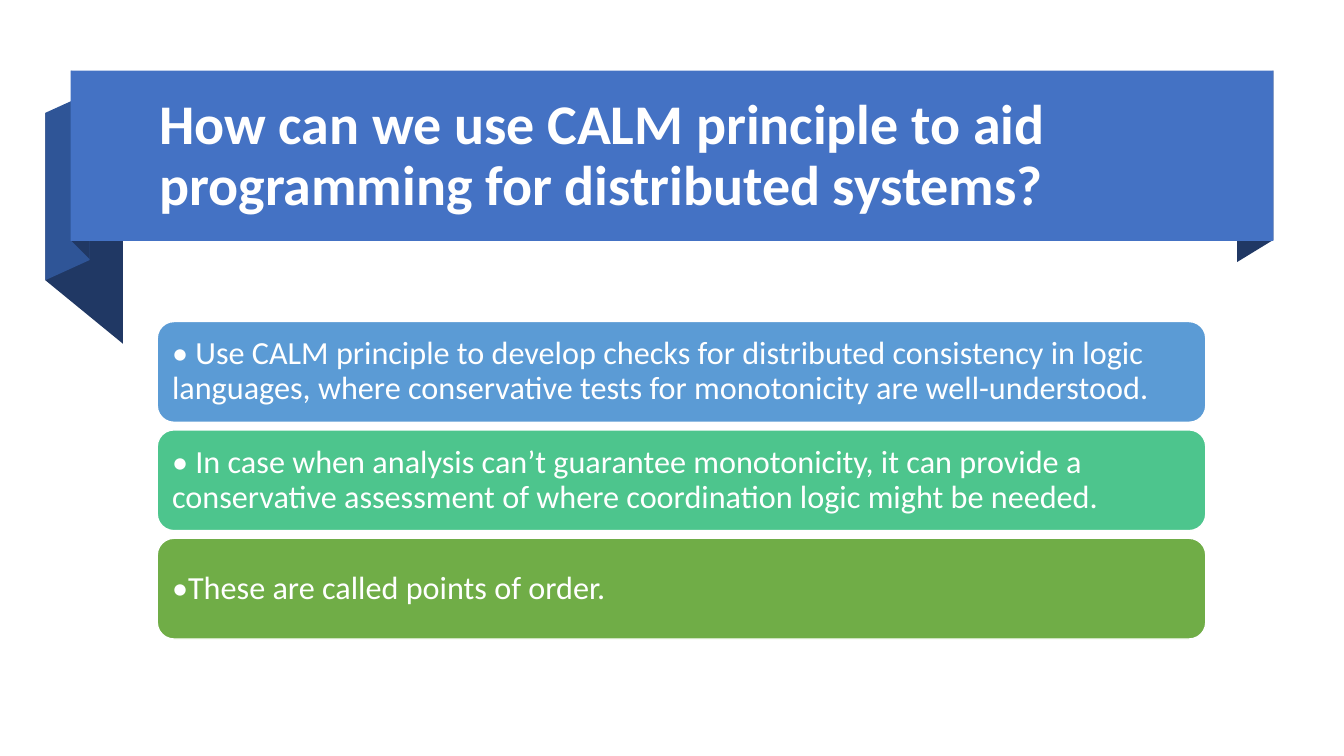
from pptx import Presentation
from pptx.dml.color import RGBColor as RGB
from pptx.enum.shapes import MSO_SHAPE as Shape
from pptx.enum.text import MSO_ANCHOR as Anchor, PP_ALIGN as Align
from pptx.util import Inches, Pt

WIDE, HIGH = 13.33, 7.5
FONT = "Calibri"
HUES = {
    "white": "FFFFFF", "band": "4472C4", "fold": "2F5597", "dark": "203864",
    "blue": "5B9BD5", "mint": "4DC58D", "green": "70AD47",
}

# Card grid: one column, equal rows
LEFT, TOP, CARD_W, CARD_H, STEP = 1.56, 3.19, 10.4, 1, 1.075

TITLE = "How can we use CALM principle to aid programming for distributed systems?"
CARDS = [
    ("blue", "• Use CALM principle to develop checks for distributed consistency in "
             "logic languages, where conservative tests for monotonicity are "
             "well-understood."),
    ("mint", "• In case when analysis can’t guarantee monotonicity, it can provide a "
             "conservative assessment of where coordination logic might be needed."),
    ("green", "•These are called points of order."),
]

# Ribbon folds: left x, right x, top and bottom y at each side
FOLDS = [
    ("dark", 12.27, 12.63, (0.91, 2.6), (0.7, 2.38)),
    ("dark", 0.45, 1.22, (1.12, 2.78), (1.75, 3.41)),
    ("fold", 0.45, 0.89, (1.12, 2.78), (0.92, 2.58)),
    ("dark", 0.71, 0.89, (0.7, 2.39), (0.89, 2.57)),
]


def hue(name):
    return RGB.from_string(HUES[name])


def paint(shape, name):
    shape.shadow.inherit = False
    shape.fill.solid()
    shape.fill.fore_color.rgb = hue(name)
    shape.line.fill.background()


def box(slide, kind, place, name):
    shape = slide.shapes.add_shape(kind, *map(Inches, place))
    paint(shape, name)
    return shape


def fold(slide, name, x1, x2, near, far):
    pen = slide.shapes.build_freeform(Inches(x1), Inches(near[0]))
    ends = [(x2, far[0]), (x2, far[1]), (x1, near[1])]
    pen.add_line_segments([(Inches(x), Inches(y)) for x, y in ends], close=True)
    paint(pen.convert_to_shape(), name)


def write(shape, text, size, bold=False):
    frame = shape.text_frame
    frame.text = text
    frame.word_wrap = True
    frame.vertical_anchor = Anchor.MIDDLE
    frame.margin_left = frame.margin_right = Inches(0.1)
    frame.margin_top = frame.margin_bottom = Inches(0.1)
    para = frame.paragraphs[0]
    para.alignment = Align.LEFT
    para.line_spacing = 0.9
    para.font.name = FONT
    para.font.size = Pt(size)
    para.font.bold = bold
    para.font.color.rgb = hue("white")


def head(slide, text):
    title = slide.shapes.title
    title.left, title.top, title.width, title.height = map(
        Inches, (1.48, 0.83, 10.94, 1.45))
    write(title, text, 40, bold=True)
    # Bring the title in front of the ribbon
    slide.shapes.element.append(title.element)


def card(slide, row, name, text):
    place = (LEFT, TOP + row * STEP, CARD_W, CARD_H)
    shape = box(slide, Shape.ROUNDED_RECTANGLE, place, name)
    shape.line.color.rgb = hue("white")
    shape.line.width = Pt(1)
    write(shape, text, 23)


def main():
    deck = Presentation()
    deck.slide_width, deck.slide_height = Inches(WIDE), Inches(HIGH)
    slide = deck.slides.add_slide(deck.slide_layouts.get_by_name("Title Only"))

    # Ribbon with title
    for part in FOLDS:
        fold(slide, *part)
    box(slide, Shape.RECTANGLE, (0.7, 0.7, 11.93, 1.69), "band")
    head(slide, TITLE)

    # Cards
    for row, (name, text) in enumerate(CARDS):
        card(slide, row, name, text)

    deck.save("out.pptx")


if __name__ == "__main__":
    main()
